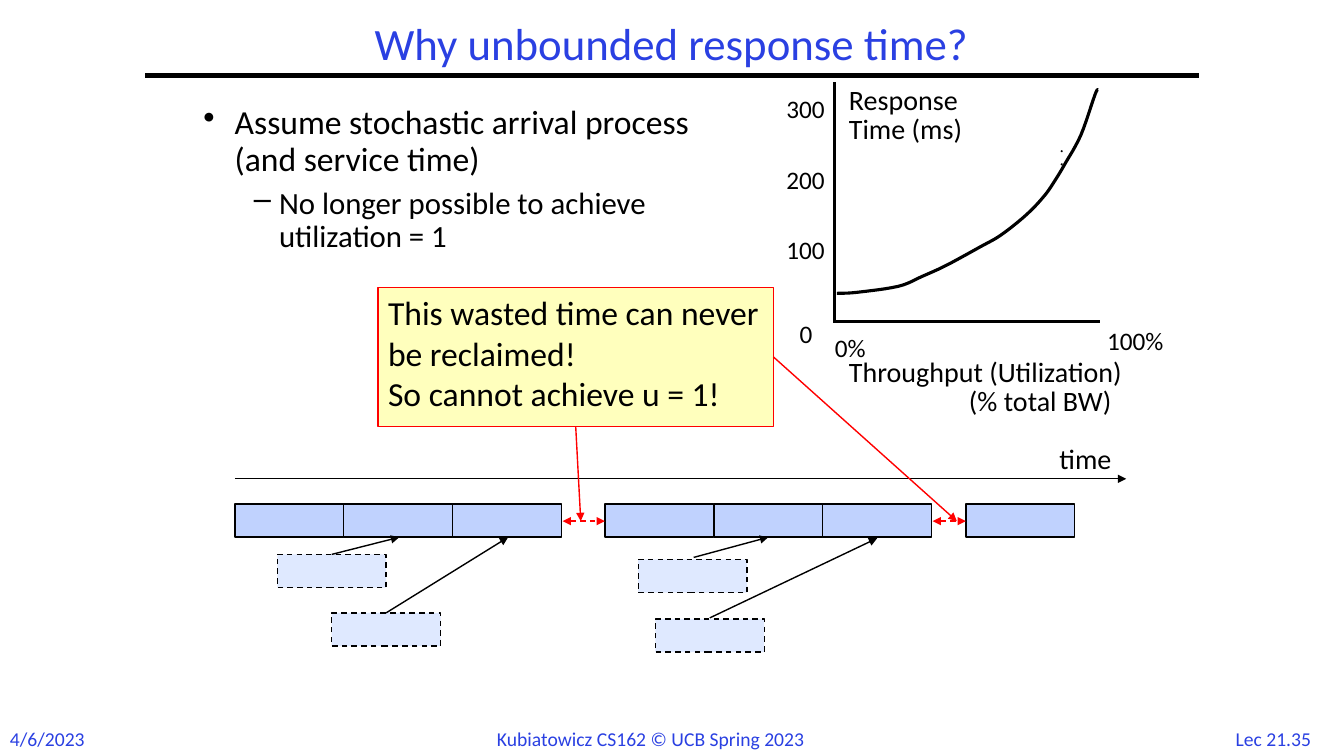
from lxml import etree
from pptx import Presentation
from pptx.dml.color import RGBColor
from pptx.enum.dml import MSO_LINE
from pptx.enum.shapes import MSO_CONNECTOR, MSO_SHAPE
from pptx.enum.text import MSO_ANCHOR, MSO_AUTO_SIZE, PP_ALIGN
from pptx.oxml.ns import qn
from pptx.util import Inches, Pt

RECT, OVAL, STRAIGHT = MSO_SHAPE.RECTANGLE, MSO_SHAPE.OVAL, MSO_CONNECTOR.STRAIGHT
DASH = MSO_LINE.DASH
LEFT, CENTER = PP_ALIGN.LEFT, PP_ALIGN.CENTER
TOP, MIDDLE = MSO_ANCHOR.TOP, MSO_ANCHOR.MIDDLE
FIT, FIXED = MSO_AUTO_SIZE.SHAPE_TO_FIT_TEXT, MSO_AUTO_SIZE.NONE

BLACK = RGBColor(0x00, 0x00, 0x00)
BLUE = RGBColor(0x2A, 0x40, 0xE2)
RED = RGBColor(0xFF, 0x00, 0x00)
YELLOW = RGBColor(0xFF, 0xFF, 0xBD)
BUSY = RGBColor(0xC0, 0xD2, 0xFE)
WAITING = RGBColor(0xDF, 0xE9, 0xFF)

prs = Presentation()
prs.slide_width, prs.slide_height = Inches(13.33), Inches(7.5)
s = prs.slides.add_slide(prs.slide_layouts[6])


def write_text(sp, paragraphs, size=18, color=BLACK, align=LEFT, anchor=TOP,
               spacing=None, wrap=False, inset=(0.1, 0.05)):
    """Each paragraph is (text, format); format may hold size, left, hang, bullet, before."""
    tf = sp.text_frame
    tf.word_wrap, tf.vertical_anchor = wrap, anchor
    tf.auto_size = FIXED if wrap else FIT
    tf.margin_left = tf.margin_right = Inches(inset[0])
    tf.margin_top = tf.margin_bottom = Inches(inset[1])
    for i, (text, fmt) in enumerate(paragraphs):
        p = tf.add_paragraph() if i else tf.paragraphs[0]
        p.text, p.alignment = text, align
        if spacing:
            p.line_spacing = spacing
        if "before" in fmt:
            p.space_before = Pt(fmt["before"])
        pPr = p._p.get_or_add_pPr()
        if "left" in fmt:
            pPr.set("marL", str(Inches(fmt["left"])))
            pPr.set("indent", str(Inches(-fmt.get("hang", 0))))
        if "bullet" in fmt:
            etree.SubElement(pPr, qn("a:buChar")).set("char", fmt["bullet"])
        for r in p.runs:
            r.font.size, r.font.name = Pt(fmt.get("size", size)), "Calibri"
            r.font.color.rgb = color


def add_line(x1, y1, x2, y2, color=BLACK, width=1, dash=None, ends=()):
    c = s.shapes.add_connector(STRAIGHT, Inches(x1), Inches(y1), Inches(x2), Inches(y2))
    c.line.color.rgb, c.line.width = color, Pt(width)
    if dash:
        c.line.dash_style = dash
    ln = c.line._get_or_add_ln()
    for end in ends:
        etree.SubElement(ln, qn(f"a:{end}")).set("type", "triangle")
    etree.SubElement(c._element.spPr, qn("a:effectLst"))


# Footer, title and body text, then chart and time labels
footer = dict(size=14, color=BLUE)
tick = dict(spacing=0.9, inset=(0.07, 0.03))
axis_title = dict(size=20, spacing=0.85, inset=(0.07, 0.03))
body = [
    ("Assume stochastic arrival process\n(and service time)",
     dict(size=24, left=0.31, hang=0.31, bullet="•")),
    ("No longer possible to achieve\nutilization = 1",
     dict(size=22, left=0.75, hang=0.25, bullet="–", before=6.6)),
]
texts = [
    (0, 7.16, 0.96, 0.34, [("4/6/2023", {})], footer),
    (4.83, 7.16, 3.68, 0.34, [("Kubiatowicz CS162 © UCB Spring 2023", {})], footer),
    (12.09, 7.16, 1.08, 0.33, [("Lec 21.35", {})], dict(footer, align=CENTER)),
    (1.44, 0.17, 10.44, 0.58, [("Why unbounded response time?", {})],
     dict(size=32, color=BLUE, align=CENTER, anchor=MIDDLE, spacing=0.9, wrap=True)),
    (1.92, 1, 9, 2.83, body, dict(spacing=0.9, wrap=True)),
    (8.35, 0.84, 1.4, 0.63, [("Response", {}), ("Time (ms)", {})], axis_title),
    (8.35, 3.54, 3.18, 0.63,
     [("Throughput (Utilization)", {}), ("(% total BW)", dict(left=1.19))], axis_title),
    (7.73, 0.93, 0.56, 0.33, [("300", {})], tick),
    (7.73, 1.63, 0.56, 0.33, [("200", {})], tick),
    (7.73, 2.33, 0.56, 0.33, [("100", {})], tick),
    (7.86, 3.16, 0.28, 0.33, [("0", {})], tick),
    (8.21, 3.3, 0.51, 0.33, [("0%", {})], tick),
    (10.91, 3.23, 0.78, 0.33, [("100%", {})], tick),
    (10.41, 4.33, 0.73, 0.44, [("time", {})], dict(size=20)),
]
for x, y, w, h, paragraphs, fmt in texts:
    box = s.shapes.add_textbox(Inches(x), Inches(y), Inches(w), Inches(h))
    write_text(box, paragraphs, **fmt)

# Title rule and chart axes
add_line(1.44, 0.75, 11.89, 0.75, width=3)
add_line(8.28, 3.2, 8.28, 0.81, width=2)
add_line(8.29, 3.19, 10.91, 3.19, width=2)

# Response time curve, smoothed through its knots
knots = [(8.3, 2.91), (8.5, 2.9), (8.91, 2.84), (9.15, 2.74), (9.39, 2.63), (9.72, 2.45),
         (9.93, 2.33), (10.18, 2.13), (10.36, 1.94), (10.47, 1.78), (10.56, 1.63),
         (10.72, 1.34), (10.86, 0.94), (10.89, 0.89)]
STEPS = 6
padded = [knots[0]] + knots + [knots[-1]]
points = []
for a, b, c, d in zip(padded, padded[1:], padded[2:], padded[3:]):
    for t in (k / STEPS for k in range(1, STEPS + 1)):
        points.append(tuple(
            Inches(0.5 * (2 * q + (r - p) * t + (2 * p - 5 * q + 4 * r - u) * t ** 2
                          + (3 * q - p - 3 * r + u) * t ** 3))
            for p, q, r, u in zip(a, b, c, d)))
builder = s.shapes.build_freeform(Inches(knots[0][0]), Inches(knots[0][1]))
builder.add_line_segments(points, close=False)
curve = builder.convert_to_shape()
curve.shadow.inherit = False
curve.fill.background()
curve.line.color.rgb, curve.line.width = BLACK, Pt(2.25)

# Small dots beside the curve
for y in (1.5, 1.63):
    dot = s.shapes.add_shape(OVAL, Inches(10.52), Inches(y - 0.01), Inches(0.02), Inches(0.02))
    dot.shadow.inherit = False
    dot.fill.solid()
    dot.fill.fore_color.rgb = BLACK
    dot.line.fill.background()

# Jobs in service, waiting jobs, and the callout
W, H = 1.08, 0.33
boxes = [(start + i * W, 5, W, H, BUSY, BLACK, None)
         for start, count in ((2.33, 3), (6, 3), (9.58, 1)) for i in range(count)]
boxes += [(x, y, W, H, WAITING, BLACK, DASH)
          for x, y in ((2.75, 5.5), (3.29, 6.08), (6.33, 5.55), (6.5, 6.14))]
boxes.append((3.75, 2.85, 3.92, 1.38, YELLOW, RED, None))
for x, y, w, h, fill, outline, dash in boxes:
    sp = s.shapes.add_shape(RECT, Inches(x), Inches(y), Inches(w), Inches(h))
    sp.shadow.inherit = False
    sp.fill.solid()
    sp.fill.fore_color.rgb = fill
    sp.line.color.rgb, sp.line.width = outline, Pt(1)
    if dash:
        sp.line.dash_style = dash
    if fill == YELLOW:
        write_text(sp, [("This wasted time can never be reclaimed!\nSo cannot achieve u = 1!", {})],
                   size=24, wrap=True)

# Time axis and arrows from waiting jobs to their service slots
for ends in ((2.33, 4.75, 11.17, 4.75), (3.29, 5.5, 3.96, 5.33), (3.83, 6.08, 5.04, 5.33),
             (6.88, 5.53, 7.62, 5.33), (7.04, 6.13, 8.7, 5.34)):
    add_line(*ends, ends=["tailEnd"])

# Idle gaps and the callout's pointers to them
for left, right in ((5.58, 6), (9.25, 9.58)):
    add_line(left, 5.17, right, 5.17, RED, dash=DASH, ends=["headEnd", "tailEnd"])
add_line(5.71, 4.23, 5.76, 5.17, RED, ends=["tailEnd"])
add_line(7.67, 3.54, 9.49, 5.17, RED, ends=["tailEnd"])

prs.save("out.pptx")
